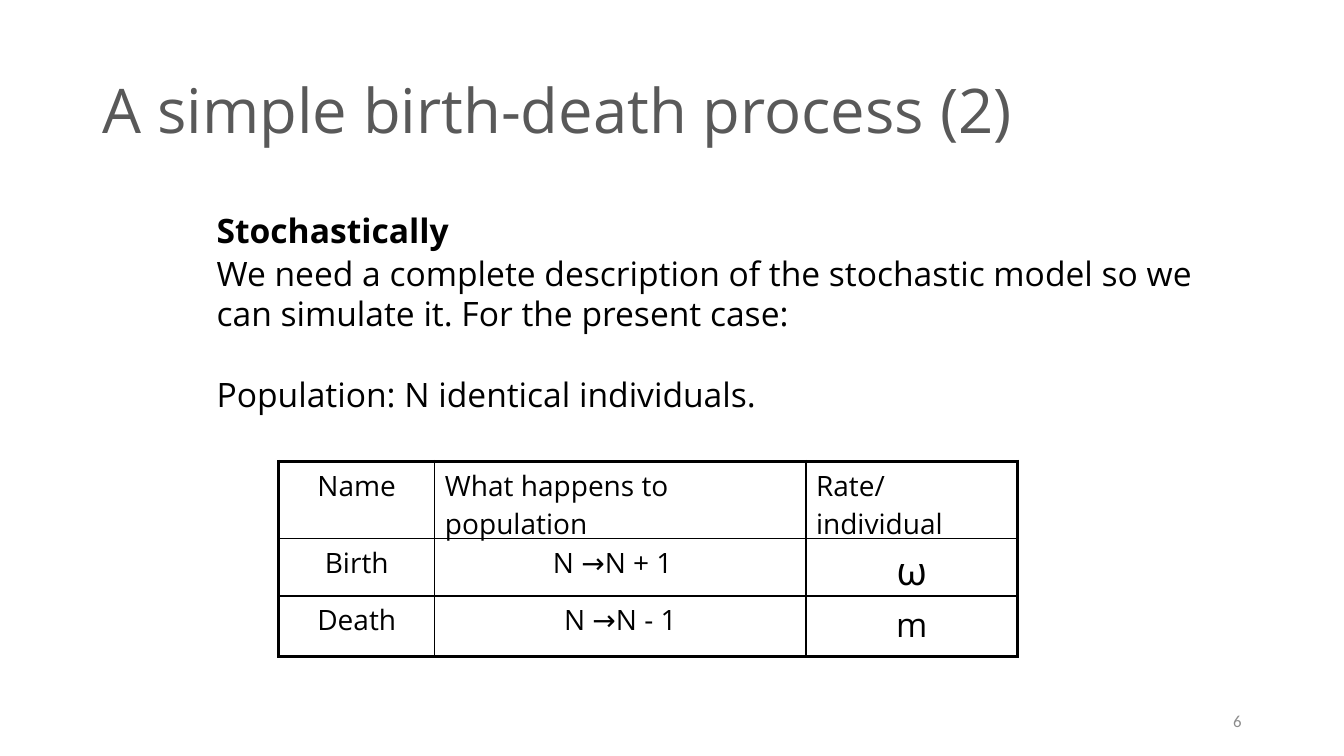
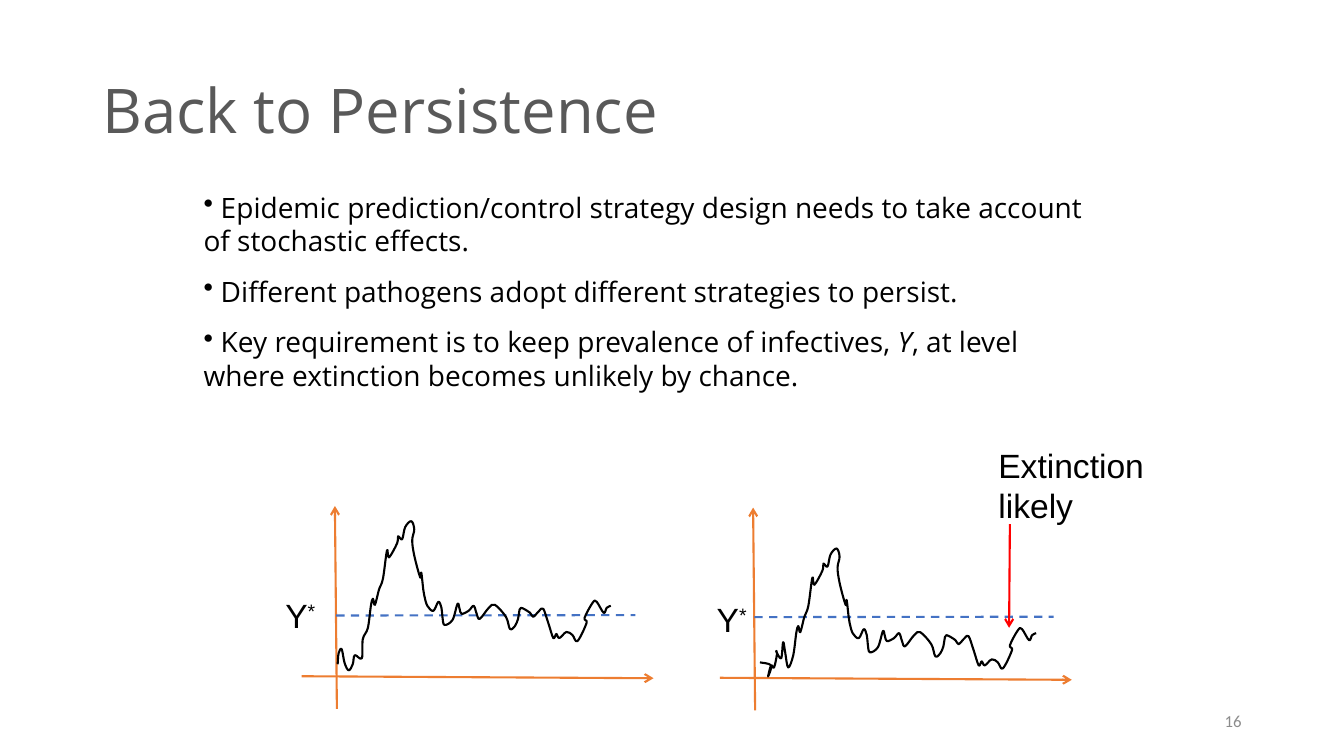
from lxml import etree
from pptx import Presentation
from pptx.dml.color import RGBColor
from pptx.enum.dml import MSO_LINE
from pptx.enum.shapes import MSO_CONNECTOR
from pptx.enum.text import MSO_ANCHOR, PP_ALIGN
from pptx.oxml.ns import qn
from pptx.util import Cm, Pt

DASH = MSO_LINE.DASH
STRAIGHT = MSO_CONNECTOR.STRAIGHT
TOP, MIDDLE = MSO_ANCHOR.TOP, MSO_ANCHOR.MIDDLE
LEFT, CENTER, RIGHT = PP_ALIGN.LEFT, PP_ALIGN.CENTER, PP_ALIGN.RIGHT


class Theme:
    ink = RGBColor(0, 0, 0)
    title = RGBColor(0x59, 0x59, 0x59)
    page = RGBColor(0x8C, 0x8C, 0x8C)
    axis = RGBColor(0xED, 0x7D, 0x31)
    level = RGBColor(0x44, 0x72, 0xC4)
    alert = RGBColor(0xFF, 0, 0)
    font, plain, small = "Open Sans", "Arial", "Calibri"
    head, body, item, note, omega = Pt(44), Pt(24), Pt(20), Pt(12), Pt(28)
    thin, thick, stroke = Pt(1), Pt(2.25), Pt(1.5)


def text(slide, box, paras, size=Theme.body, font=Theme.font, color=Theme.ink,
         align=LEFT, anchor=TOP, space=None, bold=False):
    frame = slide.shapes.add_textbox(*map(Cm, box)).text_frame
    frame.word_wrap = True
    frame.vertical_anchor = anchor
    for i, words in enumerate(paras):
        para = frame.paragraphs[0] if i == 0 else frame.add_paragraph()
        for part in [words] if isinstance(words, str) else words:
            para.add_run().text = part
        para.alignment = align
        para.line_spacing = space
        para.font.size, para.font.name = size, font
        para.font.color.rgb, para.font.bold = color, bold
    return frame.paragraphs


def line(slide, ends, color, arrow=True):
    link = slide.shapes.add_connector(STRAIGHT, *map(Cm, ends))
    link.line.color.rgb = color
    link.line.width = Theme.stroke
    props = link._element.spPr
    etree.SubElement(props, qn("a:effectLst"))
    if arrow:
        tip = etree.SubElement(props.find(qn("a:ln")), qn("a:tailEnd"))
        tip.set("type", "arrow")
    else:
        link.line.dash_style = DASH


deck = Presentation()
deck.slide_width, deck.slide_height = Cm(33.87), Cm(19.05)
pages = []
for title, number in (("A simple birth-death process (2)", "6"),
                      ("Back to Persistence", "16")):
    page = deck.slides.add_slide(deck.slide_layouts[6])
    text(page, (2.33, 1.01, 29.21, 3.68), [title], Theme.head,
         color=Theme.title, anchor=MIDDLE, space=0.9)
    text(page, (23.92, 17.66, 7.62, 1.01), [number], Theme.note, Theme.small,
         Theme.page, RIGHT, MIDDLE)
    pages.append(page)
birth, persist = pages

text(birth, (5.21, 5.16, 6.43, 1.28), ["Stochastically"], anchor=MIDDLE,
     bold=True)
paras = text(birth, (5.21, 6.25, 25.6, 4.8), [
    "We need a complete description of the stochastic model so we",
    "can simulate it. For the present case:",
    "Population: N identical individuals.",
])
paras[2].space_before = Pt(29)

rows = [
    ("Name", "What happens to population", "Rate/individual"),
    ("Birth", "N →N + 1", "ω"),
    ("Death", "N →N - 1", "m"),
]
sizes = {"ω": Theme.omega, "m": Theme.body}
frame = birth.shapes.add_table(3, 3, Cm(7.02), Cm(11.62), Cm(18.62), Cm(4.93))
table = frame.table
table.first_row = table.horz_banding = False
for col, width in zip(table.columns, (3.94, 9.35, 5.33)):
    col.width = Cm(width)
for row, height in zip(table.rows, (1.37, 1.45, 1.52)):
    row.height = Cm(height)
frame.height = Cm(4.93)
for r, row in enumerate(rows):
    for c, words in enumerate(row):
        cell = table.cell(r, c)
        cell.text = words
        cell.fill.background()
        para = cell.text_frame.paragraphs[0]
        para.alignment = LEFT if r == 0 and c > 0 else CENTER
        para.font.size = sizes.get(words, Theme.item)
        para.font.name, para.font.color.rgb = Theme.font, Theme.ink
        outer = {"lnL": c == 0, "lnR": c == 2, "lnT": r == 0, "lnB": r == 2}
        for i, (side, edge) in enumerate(outer.items()):
            rule = etree.Element(qn("a:" + side))
            rule.set("w", str(Theme.thick if edge else Theme.thin))
            fill = etree.SubElement(rule, qn("a:solidFill"))
            etree.SubElement(fill, qn("a:srgbClr")).set("val", str(Theme.ink))
            cell._tc.get_or_add_tcPr().insert(i, rule)
table.cell(1, 1).margin_right = Cm(0.64)

paras = text(persist, (4.88, 4.67, 23.11, 5.54), [
    " Epidemic prediction/control strategy design needs to take account "
    "of stochastic effects.",
    " Different pathogens adopt different strategies to persist.",
    (" Key requirement is to keep prevalence of infectives, ", "Y",
     ", at level where extinction becomes unlikely by chance."),
], Theme.item)
for i, para in enumerate(paras):
    para.space_before, para.space_after = Pt(10 if i else 0), Pt(2)
    props = para._p.get_or_add_pPr()
    props.set("marL", "0")
    props.set("indent", "0")
    mark = etree.Element(qn("a:buChar"))
    mark.set("char", "•")
    props.find(qn("a:spcAft")).addnext(mark)
paras[2].runs[1].font.italic = True

high = [(35, 159), (36, 148), (39, 144), (42, 158), (46, 165), (50, 159),
        (52, 150), (59, 153), (60, 134)]
low = [(32, 130), (43, 133), (40, 144), (43, 133), (46, 135), (49, 121),
       (48, 119), (53, 126), (55, 110), (57, 120), (60, 135)]
tail = [(65, 123), (68, 101), (70, 94), (72, 100), (76, 85), (80, 74),
        (84, 46), (86, 53), (94, 39), (95, 32), (99, 35), (102, 23),
        (108, 17), (111, 25), (109, 36), (111, 51), (117, 73), (118, 68),
        (120, 85), (121, 91), (124, 101), (130, 106), (135, 97), (138, 103),
        (139, 112), (141, 120), (149, 115), (154, 99), (156, 104), (158, 109),
        (165, 106), (170, 101), (173, 109), (176, 114), (185, 103), (191, 100),
        (202, 112), (206, 124), (211, 121), (214, 114), (215, 108), (217, 103),
        (226, 108), (229, 112), (235, 106), (239, 104), (244, 118), (249, 133),
        (252, 129), (255, 133), (262, 127), (268, 130), (273, 136), (282, 118),
        (280, 113), (288, 98), (292, 97), (299, 108), (302, 103), (306, 101)]
fine = 10
unit = Cm(2.54) / 100 / fine
graphs = [
    (0, 0, high, (7.62, 12.7), (6.94, 14.86)),
    (10.54, 0.04, low, (18.34, 13.39), (17.81, 14.96)),
]
for dx, dy, start, origin, label in graphs:
    for x1, y1, x2, y2, color, arrow in (
            (8.49, 17.86, 8.44, 12.75, Theme.axis, True),
            (7.6, 17.04, 16.47, 17.09, Theme.axis, True),
            (8.47, 15.51, 16.01, 15.5, Theme.level, False)):
        line(persist, (x1 + dx, y1 + dy, x2 + dx, y2 + dy), color, arrow)

    knots = [(x * fine, y * fine) for x, y in start + tail]
    pen = persist.shapes.build_freeform(*knots[0], scale=unit)
    pen.add_line_segments(knots[1:], close=False)
    trace = pen.convert_to_shape(*map(Cm, origin))
    trace.shadow.inherit = False
    trace.fill.background()
    trace.line.color.rgb = Theme.ink
    trace.line.width = Theme.stroke

    spots = list(trace._element.iter(qn("a:pt")))
    knots = [(int(spot.get("x")), int(spot.get("y"))) for spot in spots]
    knots = [knots[0]] + knots + [knots[-1]]
    for spot, *quad in zip(spots[1:], knots, knots[1:], knots[2:], knots[3:]):
        bend = spot.getparent()
        curve = etree.Element(qn("a:cubicBezTo"))
        bend.getparent().replace(bend, curve)
        pairs = [(b + (c - a) / 6, c - (d - b) / 6) for a, b, c, d in zip(*quad)]
        for x, y in zip(*pairs):
            grip = etree.SubElement(curve, qn("a:pt"))
            grip.set("x", str(round(x)))
            grip.set("y", str(round(y)))
        curve.append(spot)

    para = text(persist, (*label, 1.8, 1.3), [("Y", "*")], font=Theme.plain)[0]
    para.runs[1]._r.get_or_add_rPr().set("baseline", "30000")

line(persist, (25.45, 13.21, 25.43, 15.82), Theme.alert)
text(persist, (24.91, 11.08, 4.47, 2.31), ["Extinction", "likely"],
     font=Theme.plain)

deck.save("out.pptx")
